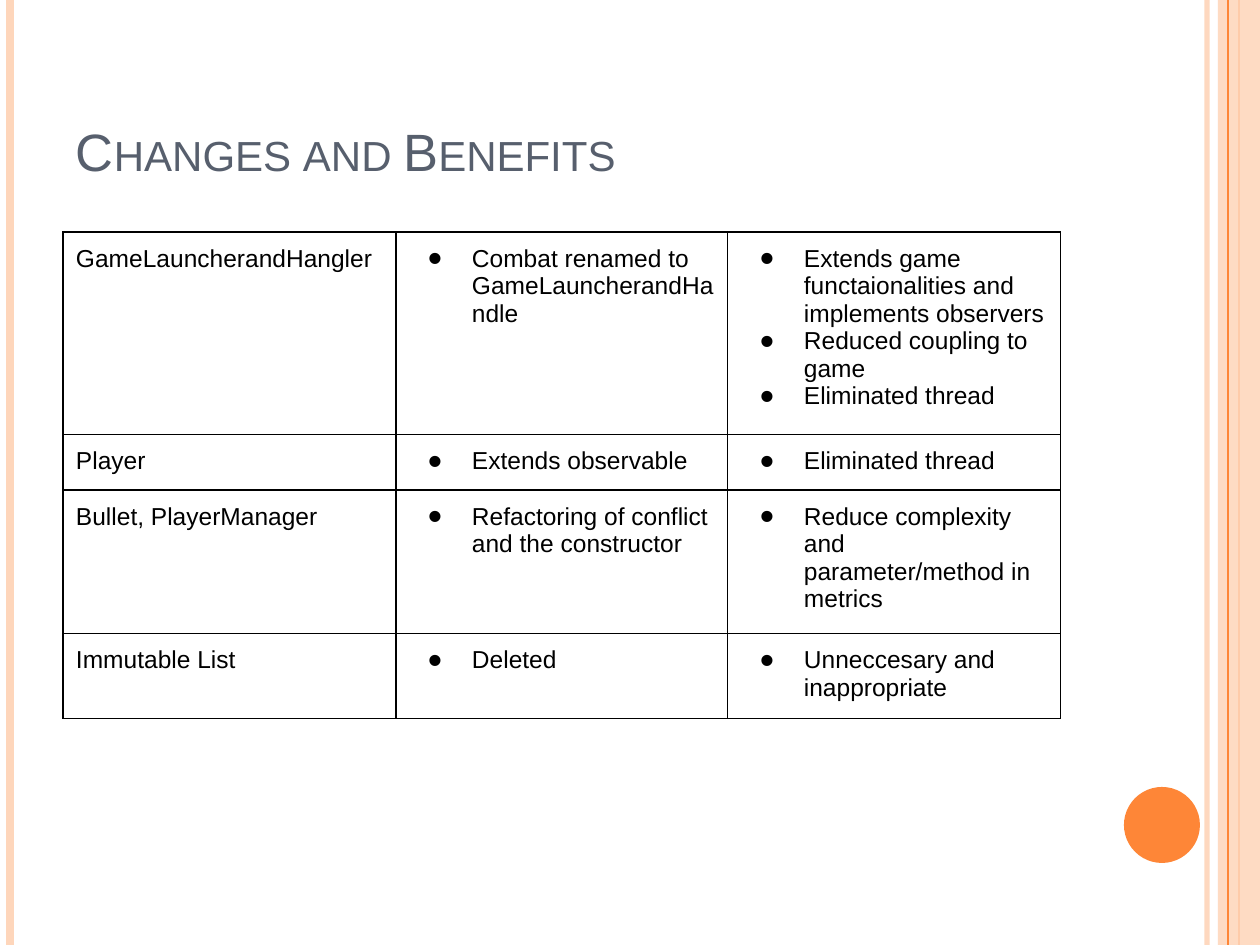
from dataclasses import dataclass

from lxml import etree
from pptx import Presentation
from pptx.dml.color import RGBColor
from pptx.enum.shapes import MSO_CONNECTOR, MSO_SHAPE
from pptx.enum.text import MSO_ANCHOR
from pptx.oxml.ns import qn
from pptx.util import Pt

STRAIGHT = MSO_CONNECTOR.STRAIGHT
RECTANGLE = MSO_SHAPE.RECTANGLE
OVAL = MSO_SHAPE.OVAL
TOP = MSO_ANCHOR.TOP
BOTTOM = MSO_ANCHOR.BOTTOM
EMU_PER_PIXEL = 914400 / 126
WIDTH, HEIGHT = 1260, 945


@dataclass(frozen=True)
class Theme:
    font: str = "Arial"
    title_size: float = 30
    body_size: float = 14
    title: str = "575F6D"
    text: str = "000000"
    border: str = "000000"
    border_width: float = 0.75
    accent: str = "FE8637"
    pale: str = "FED6BB"
    inset: int = 13
    bullet_indent: int = 63
    bullet_hang: int = 44
    bullet_percent: int = 167


def emu(pixels):
    return round(pixels * EMU_PER_PIXEL)


def add_child(parent, tag, **attributes):
    return etree.SubElement(parent, qn(tag), attributes)


def set_alpha(properties, percent):
    color = next(properties.iter(qn("a:srgbClr")))
    add_child(color, "a:alpha", val=str(percent * 1000))


class SlideBuilder:
    def __init__(self, slide, theme):
        self.slide = slide
        self.theme = theme

    def vertical_line(self, x, color, width, alpha=100):
        line = self.slide.shapes.add_connector(STRAIGHT, emu(x), 0, emu(x), emu(HEIGHT))
        line.line.color.rgb = RGBColor.from_string(color)
        line.line.width = Pt(width)
        properties = line._element.spPr
        if alpha < 100:
            set_alpha(properties, alpha)
        add_child(properties, "a:effectLst")

    def shape(self, kind, box, color, alpha=100):
        shape = self.slide.shapes.add_shape(kind, *map(emu, box))
        shape.shadow.inherit = False
        shape.fill.solid()
        shape.fill.fore_color.rgb = RGBColor.from_string(color)
        shape.line.fill.background()
        if alpha < 100:
            set_alpha(shape._element.spPr, alpha)

    def run(self, paragraph, text, size, color):
        run = paragraph.add_run()
        run.text = text
        run.font.name = self.theme.font
        run.font.size = Pt(size)
        run.font.color.rgb = RGBColor.from_string(color)
        return run

    def inset(self, holder):
        margin = emu(self.theme.inset)
        holder.margin_left = holder.margin_right = margin
        holder.margin_top = holder.margin_bottom = margin

    def title(self, box, text):
        frame = self.slide.shapes.add_textbox(*map(emu, box)).text_frame
        frame.word_wrap = True
        frame.vertical_anchor = BOTTOM
        self.inset(frame)
        run = self.run(frame.paragraphs[0], text, self.theme.title_size, self.theme.title)
        run.font._element.set("cap", "small")

    def bullet(self, paragraph):
        properties = paragraph._p.get_or_add_pPr()
        properties.set("marL", str(emu(self.theme.bullet_indent)))
        properties.set("indent", str(-emu(self.theme.bullet_hang)))
        color = add_child(properties, "a:buClr")
        add_child(color, "a:srgbClr", val=self.theme.text)
        add_child(properties, "a:buSzPct", val=str(self.theme.bullet_percent * 1000))
        add_child(properties, "a:buFont", typeface=self.theme.font)
        add_child(properties, "a:buChar", char="•")

    def borders(self, cell):
        properties = cell._tc.get_or_add_tcPr()
        for side in ("a:lnL", "a:lnR", "a:lnT", "a:lnB"):
            line = add_child(properties, side, w=str(Pt(self.theme.border_width)))
            fill = add_child(line, "a:solidFill")
            add_child(fill, "a:srgbClr", val=self.theme.border)

    def cell(self, cell, lines, bulleted):
        self.inset(cell)
        cell.vertical_anchor = TOP
        self.borders(cell)
        cell.fill.background()
        frame = cell.text_frame
        for index, text in enumerate(lines):
            paragraph = frame.add_paragraph() if index else frame.paragraphs[0]
            if bulleted:
                self.bullet(paragraph)
            self.run(paragraph, text, self.theme.body_size, self.theme.text)

    def table(self, left, top, widths, heights, rows):
        box = (left, top, sum(widths), sum(heights))
        frame = self.slide.shapes.add_table(len(rows), len(widths), *map(emu, box))
        table = frame.table
        table.first_row = False
        table.horz_banding = False
        for column, width in zip(table.columns, widths):
            column.width = emu(width)
        for row, height, contents in zip(table.rows, heights, rows):
            row.height = emu(height)
            for index, lines in enumerate(contents):
                self.cell(row.cells[index], lines, bulleted=index > 0)


CHANGES = [
    (
        ["GameLauncherandHangler"],
        ["Combat renamed to GameLauncherandHandle"],
        [
            "Extends game functaionalities and implements observers",
            "Reduced coupling to game",
            "Eliminated thread",
        ],
    ),
    (["Player"], ["Extends observable"], ["Eliminated thread"]),
    (
        ["Bullet, PlayerManager"],
        ["Refactoring of conflict and the constructor"],
        ["Reduce complexity and parameter/method in metrics"],
    ),
    (["Immutable List"], ["Deleted"], ["Unneccesary and inappropriate"]),
]


def main():
    presentation = Presentation()
    presentation.slide_width = emu(WIDTH)
    presentation.slide_height = emu(HEIGHT)
    slide = presentation.slides.add_slide(presentation.slide_layouts[6])
    theme = Theme()
    builder = SlideBuilder(slide, theme)

    builder.vertical_line(1207, theme.pale, 3, alpha=93)
    builder.vertical_line(10, theme.pale, 4.5)
    builder.vertical_line(1239, theme.accent, 1.5)
    builder.shape(RECTANGLE, (1218, 0, 42, HEIGHT), theme.pale, alpha=87)
    builder.vertical_line(1228, theme.accent, 0.75)
    builder.shape(OVAL, (1124, 787, 76, 76), theme.accent)
    builder.title((63, 38, 1029, 157), "Changes and Benefits")
    builder.table(63, 232, (333, 332, 333), (201, 55, 142, 84), CHANGES)

    presentation.save("out.pptx")


main()
